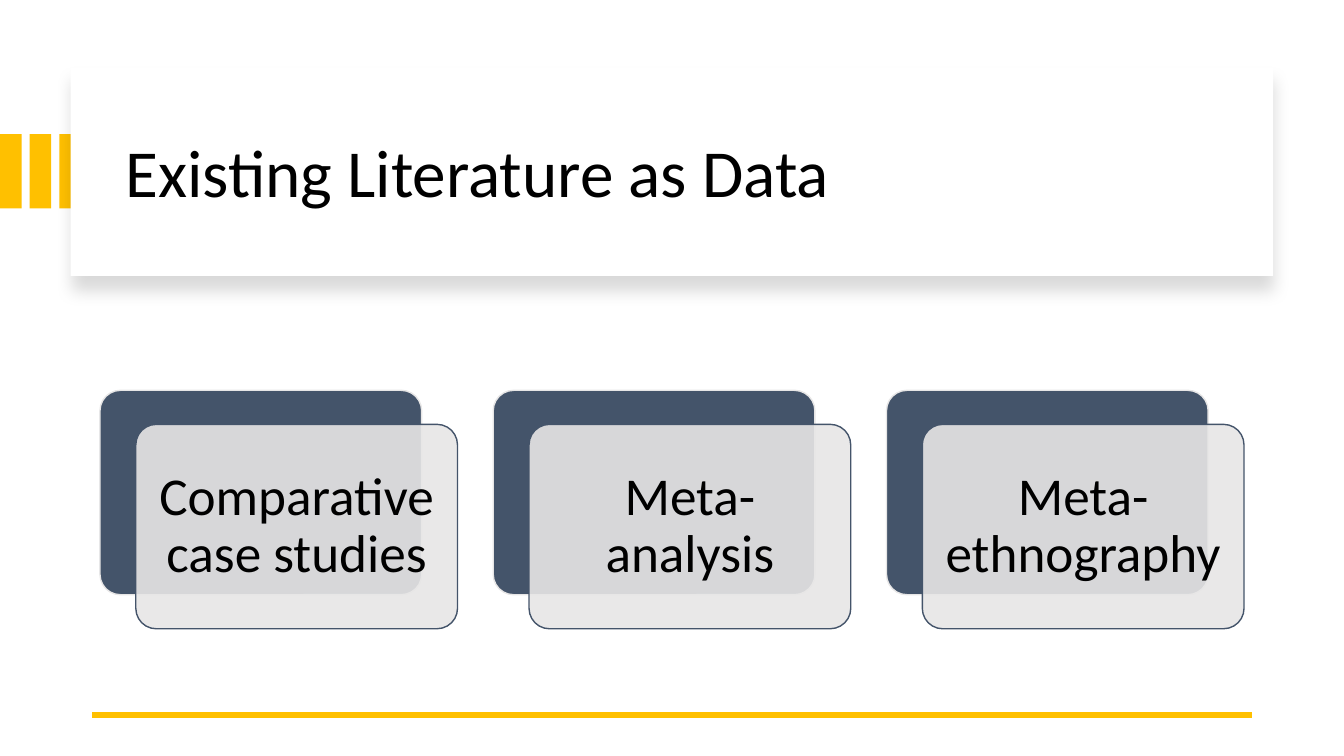
from lxml.etree import SubElement
from pptx import Presentation
from pptx.dml.color import RGBColor
from pptx.enum.shapes import MSO_CONNECTOR, MSO_SHAPE
from pptx.enum.text import MSO_ANCHOR, PP_ALIGN
from pptx.oxml.ns import qn
from pptx.util import Pt

GOLD = RGBColor(0xFF, 0xC0, 0x00)
NAVY = RGBColor(0x44, 0x54, 0x6A)
GRAY = RGBColor(0xE7, 0xE6, 0xE6)
WHITE = RGBColor(0xFF, 0xFF, 0xFF)
BLACK = RGBColor(0x00, 0x00, 0x00)

METHODS = ["Comparative case studies", "Meta-analysis", "Meta-ethnography"]


def add_block(page, kind, left, top, width, height, fill, line=None):
    """Add a filled shape without shadow, outlined only if a line colour is given."""
    block = page.shapes.add_shape(kind, Pt(left), Pt(top), Pt(width), Pt(height))
    block.shadow.inherit = False
    block.fill.solid()
    block.fill.fore_color.rgb = fill
    if line is None:
        block.line.fill.background()
    else:
        block.line.color.rgb = line
        block.line.width = Pt(1)
    return block


def write_text(box, text, size, align, inset_x, inset_y):
    frame = box.text_frame
    frame.word_wrap = True
    frame.vertical_anchor = MSO_ANCHOR.MIDDLE
    frame.margin_left = frame.margin_right = Pt(inset_x)
    frame.margin_top = frame.margin_bottom = Pt(inset_y)
    para = frame.paragraphs[0]
    para.text = text
    para.alignment = align
    para.line_spacing = 0.9
    para.font.name = "Calibri"
    para.font.size = Pt(size)
    para.font.color.rgb = BLACK


def add_soft_shadow(shape):
    effects = shape._element.spPr.find(qn("a:effectLst"))
    shadow = SubElement(effects, qn("a:outerShdw"), blurRad=str(Pt(11)),
                        dist=str(Pt(10)), dir="5400000", algn="t", rotWithShape="0")
    color = SubElement(shadow, qn("a:srgbClr"), val="000000")
    SubElement(color, qn("a:alpha"), val="15000")


def add_stripes(page, left, top, width, height, count=3, pitch=21.2):
    for index in range(count):
        add_block(page, MSO_SHAPE.RECTANGLE, left + index * pitch, top, width, height, GOLD)


def add_title(page, left, top, width, height, text):
    panel = add_block(page, MSO_SHAPE.RECTANGLE, left, top, width, height, WHITE)
    add_soft_shadow(panel)
    box = page.shapes.add_textbox(Pt(left + 32), Pt(top + 16), Pt(width - 57.5), Pt(height - 27))
    write_text(box, text, 48, PP_ALIGN.LEFT, 7.2, 3.6)


def add_method_card(page, left, top, width, height, text):
    """Place a translucent labelled card over a dark one, shifted down and right."""
    shift_x, shift_y = 25.6, 24.3
    size = width - shift_x, height - shift_y
    back = add_block(page, MSO_SHAPE.ROUNDED_RECTANGLE, left, top, *size, NAVY, GRAY)
    front = add_block(page, MSO_SHAPE.ROUNDED_RECTANGLE, left + shift_x, top + shift_y,
                      *size, GRAY, NAVY)
    for card in (back, front):
        card.adjustments[0] = 0.1
    color = front.fill._xPr.find(qn("a:solidFill"))[0]
    SubElement(color, qn("a:alpha"), val="90000")
    write_text(front, text, 38, PP_ALIGN.CENTER, 11.3, 11.3)


def add_method_row(page, left, top, width, height, methods):
    card_width = 255.4
    pitch = (width - card_width) / (len(methods) - 1)
    for index, method in enumerate(methods):
        add_method_card(page, left + index * pitch, top, card_width, height, method)


def add_footer_rule(page, left, top, width):
    rule = page.shapes.add_connector(MSO_CONNECTOR.STRAIGHT, Pt(left + width), Pt(top),
                                     Pt(left), Pt(top))
    rule.line.color.rgb = GOLD
    rule.line.width = Pt(4.5)
    SubElement(rule._element.spPr, qn("a:effectLst"))


def main():
    deck = Presentation()
    deck.slide_width, deck.slide_height = Pt(960), Pt(540)
    page = deck.slides.add_slide(deck.slide_layouts[6])
    add_stripes(page, 0, 95.8, 15.4, 53)
    add_title(page, 50.4, 48.2, 859, 149, "Existing Literature as Data")
    add_footer_rule(page, 66, 510.6, 828)
    add_method_row(page, 71.4, 278.8, 817.2, 170.3, METHODS)
    deck.save("out.pptx")


if __name__ == "__main__":
    main()
